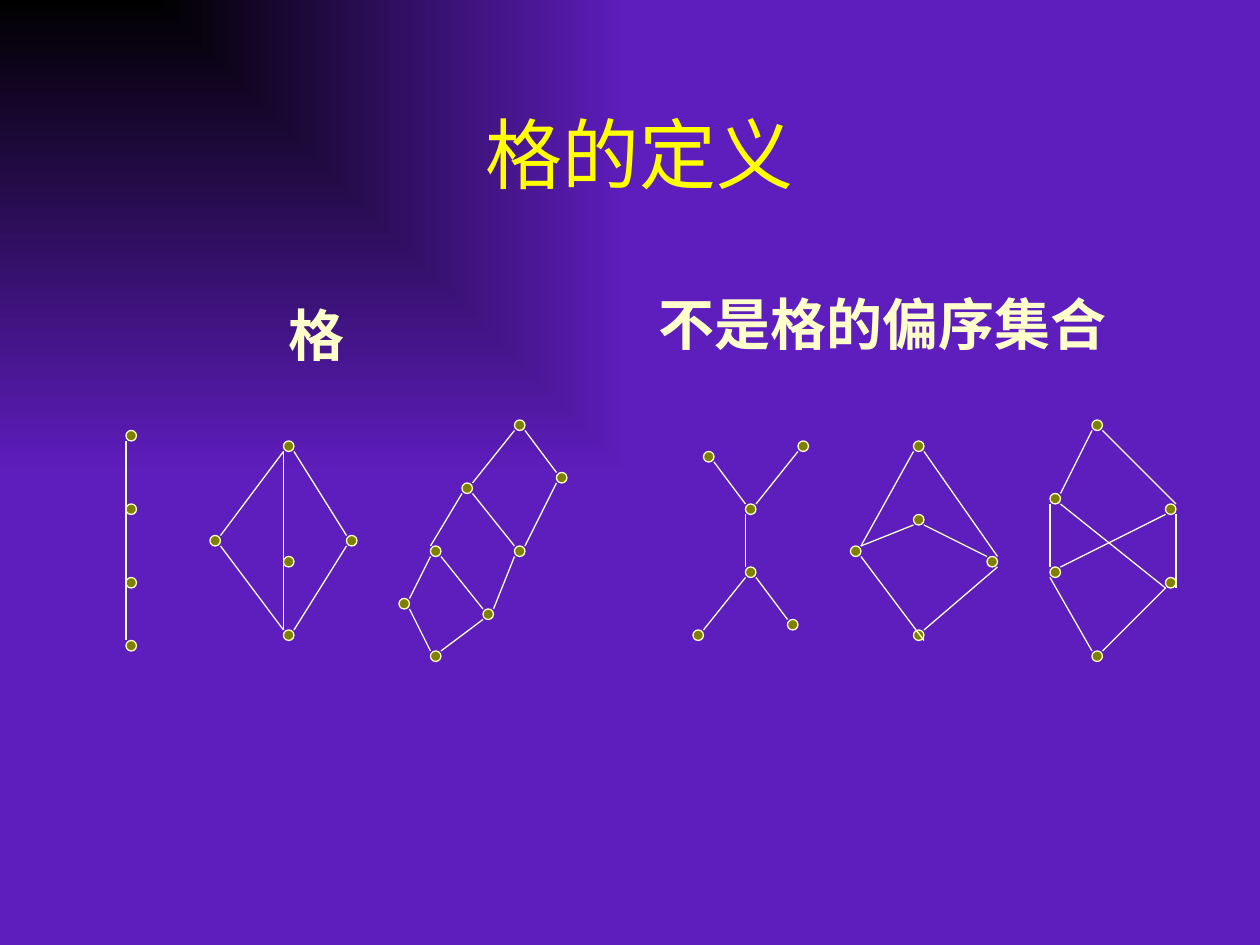
"""Build a slide of Hasse diagrams contrasting lattices with other posets."""
from lxml import etree
from pptx import Presentation
from pptx import util as u
from pptx.dml.color import RGBColor
from pptx.enum import shapes, text
from pptx.oxml.ns import qn

PX = 9525
CELL = 8
FONT = "Noto Sans CJK JP"
COLORS = {"black": "000000", "violet": "5E1DBD", "title": "FFFF00",
          "cream": "FFFFCC", "olive": "808000"}

CHAIN = {
    "nodes": [(12, 41), (12, 48), (12, 55), (12, 61)],
    "edges": [(12, 42, 12, 61), (12, 49, 12, 56)],
}
DIAMOND = {
    "nodes": [(27, 42), (27, 53), (33, 51), (27, 60), (20, 51)],
    "edges": [(27, 43, 21, 51), (27, 43, 27, 60), (28, 43, 33, 51),
              (33, 52, 28, 60), (21, 52, 27, 60)],
}
LADDER = {
    "nodes": [(49, 40), (44, 46), (53, 45), (41, 52),
              (38, 57), (49, 52), (46, 58), (41, 62)],
    "edges": [(49, 41, 45, 46), (44, 47, 41, 52), (41, 53, 39, 57),
              (50, 41, 53, 45), (53, 46, 50, 52), (49, 53, 47, 58),
              (46, 59, 42, 62), (39, 58, 41, 62), (45, 47, 49, 52),
              (42, 53, 46, 58)],
}
FORKS = {
    "nodes": [(76, 42), (67, 43), (66, 60), (71, 48), (71, 54), (75, 59)],
    "edges": [(68, 44, 71, 48), (76, 43, 72, 48), (71, 49, 71, 54),
              (71, 55, 67, 60), (72, 55, 75, 59)],
}
KITE = {
    "nodes": [(87, 42), (81, 52), (87, 49), (94, 53), (87, 60)],
    "edges": [(87, 43, 82, 52), (88, 43, 95, 53), (87, 50, 82, 52),
              (88, 50, 94, 53), (82, 53, 88, 61), (95, 54, 88, 60)],
}
CROSSED = {
    "nodes": [(100, 54), (111, 55), (100, 47), (111, 48), (104, 40), (104, 62)],
    "edges": [(111, 56, 105, 62), (104, 41, 101, 47), (105, 41, 112, 48),
              (100, 48, 100, 54), (112, 49, 112, 56), (100, 55, 104, 62),
              (101, 48, 111, 56), (111, 49, 101, 54)],
}


def rgb(name):
    return RGBColor.from_string(COLORS[name])


def px(*values):
    return [u.Emu(v * PX) for v in values]


class Board:
    def __init__(self, slide):
        self.s = slide

    def background(self, inner, outer):
        fill = self.s.background.fill
        fill.gradient()
        for stop, color in zip(fill.gradient_stops, (inner, outer)):
            stop.color.rgb = rgb(color)
        grad = self.s.element.find(".//" + qn("a:gradFill"))
        grad.remove(grad.find(qn("a:lin")))
        rect = etree.SubElement(grad, qn("a:path"), path="rect")
        etree.SubElement(rect, qn("a:fillToRect"), r="100000", b="100000")

    def text(self, content, box, size, color, font="Arial", bold=False,
             align=text.PP_ALIGN.LEFT, anchor=text.MSO_ANCHOR.TOP, indent=0):
        tf = self.s.shapes.add_textbox(*px(*box)).text_frame
        tf.word_wrap = True
        tf.vertical_anchor = anchor
        p = tf.paragraphs[0]
        p.alignment = align
        if indent:
            p._p.get_or_add_pPr().set("indent", str(indent * PX))
        r = p.add_run()
        r.text = content
        r.font.size = u.Pt(size)
        r.font.bold = bold
        r.font.name = font
        r.font.color.rgb = rgb(color)
        etree.SubElement(r._r.get_or_add_rPr(), qn("a:ea"), typeface=FONT)

    def outline(self, line):
        line.color.rgb = rgb("cream")
        line.width = u.Pt(0.75)

    def node(self, group, x, y):
        sp = group.shapes.add_shape(shapes.MSO_SHAPE.OVAL,
                                    *px(x * CELL, y * CELL, CELL, CELL))
        sp.shadow.inherit = False
        sp.fill.solid()
        sp.fill.fore_color.rgb = rgb("olive")
        self.outline(sp.line)

    def edge(self, group, *ends):
        cx = group.shapes.add_connector(shapes.MSO_CONNECTOR.STRAIGHT,
                                        *px(*(v * CELL for v in ends)))
        self.outline(cx.line)
        etree.SubElement(cx._element.spPr, qn("a:effectLst"))

    def hasse(self, nodes, edges):
        group = self.s.shapes.add_group_shape()
        for node in nodes:
            self.node(group, *node)
        for edge in edges:
            self.edge(group, *edge)


def main():
    prs = Presentation()
    prs.slide_width, prs.slide_height = px(960, 720)
    board = Board(prs.slides.add_slide(prs.slide_layouts[6]))
    board.background("black", "violet")
    board.text("格的定义", (34, 76, 907, 80), 44, "title", font=FONT,
               align=text.PP_ALIGN.CENTER, anchor=text.MSO_ANCHOR.BOTTOM)
    for diagram in (DIAMOND, LADDER, CHAIN, FORKS, KITE, CROSSED):
        board.hasse(**diagram)
    board.text("不是格的偏序集合", (464, 216, 416, 60), 32, "cream",
               bold=True, indent=28)
    board.text("格", (192, 224, 85, 60), 32, "cream", bold=True, indent=18)
    prs.save("out.pptx")


if __name__ == "__main__":
    main()
